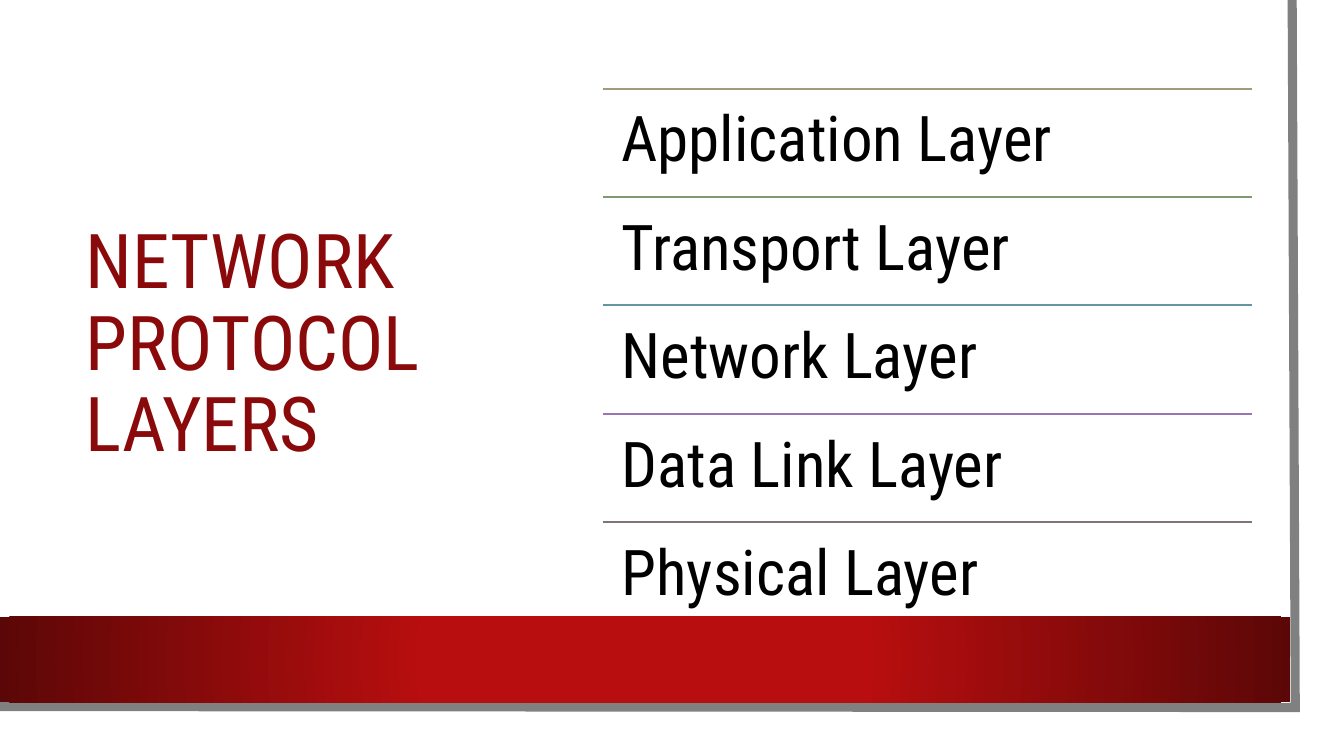
from lxml.etree import SubElement
from pptx import Presentation
from pptx.dml.color import RGBColor
from pptx.enum.shapes import MSO_CONNECTOR as CONNECTOR, MSO_SHAPE as SHAPE
from pptx.enum.text import MSO_ANCHOR as ANCHOR
from pptx.oxml.ns import qn
from pptx.util import Pt

FONT = "Roboto Condensed"
LAYERS = [
    ("Application Layer", "A6987D"),
    ("Transport Layer", "7F9A71"),
    ("Network Layer", "64969F"),
    ("Data Link Layer", "9B75B2"),
    ("Physical Layer", "80737A"),
]
LIST_LEFT, LIST_TOP, LIST_WIDTH, ROW_HEIGHT = 430.5, 63.3, 463.7, 77.4


def color(value):
    return RGBColor.from_string(value)


def add_text(page, text, left, top, width, height, size, text_color,
             anchor=ANCHOR.TOP, inset=None):
    box = page.shapes.add_textbox(Pt(left), Pt(top), Pt(width), Pt(height))
    frame = box.text_frame
    frame.word_wrap = True
    frame.vertical_anchor = anchor
    if inset is not None:
        frame.margin_left = frame.margin_right = Pt(inset)
        frame.margin_top = frame.margin_bottom = Pt(inset)
    para = frame.paragraphs[0]
    para.text = text
    para.line_spacing = 0.9
    para.font.name = FONT
    para.font.size = Pt(size)
    para.font.color.rgb = color(text_color)


def add_rule(page, left, top, width, line_color):
    rule = page.shapes.add_connector(
        CONNECTOR.STRAIGHT, Pt(left), Pt(top), Pt(left + width), Pt(top))
    rule.line.color.rgb = color(line_color)
    rule.line.width = Pt(1.5)
    SubElement(rule._element.spPr, qn("a:effectLst"))


def add_page_edge(page):
    """Draw the grey edge down the right side and along the bottom."""
    builder = page.shapes.build_freeform(Pt(923), Pt(0), scale=1.0)
    builder.add_line_segments(
        [(Pt(925.2), Pt(505.4)), (Pt(-2.2), Pt(504.7))], close=False)
    edge = builder.convert_to_shape()
    edge.shadow.inherit = False
    edge.fill.background()
    edge.line.color.rgb = color("808080")
    edge.line.width = Pt(6.5)
    SubElement(edge.line._get_or_add_ln(), qn("a:miter"), lim="800000")


def add_band(page, left, top, width, height, inner, outer):
    """Add a bar whose colour runs radially from inner to outer."""
    band = page.shapes.add_shape(
        SHAPE.RECTANGLE, Pt(left), Pt(top), Pt(width), Pt(height))
    band.shadow.inherit = False
    band.line.fill.background()
    band.fill.gradient()
    stops = zip(band.fill.gradient_stops, (0.34, 1), (inner, outer))
    for stop, position, stop_color in stops:
        stop.position = position
        stop.color.rgb = color(stop_color)
    gradient = band._element.spPr.find(qn("a:gradFill"))
    gradient.remove(gradient.find(qn("a:lin")))
    radial = SubElement(gradient, qn("a:path"), path="circle")
    center = dict.fromkeys("ltrb", "50000")
    SubElement(radial, qn("a:fillToRect"), center)


def main():
    deck = Presentation()
    deck.slide_width, deck.slide_height = Pt(960), Pt(540)
    page = deck.slides.add_slide(deck.slide_layouts[6])

    add_page_edge(page)
    add_band(page, 0, 440.6, 921.6, 61.2, "B80E0F", "5C0707")
    add_text(page, "NETWORK PROTOCOL LAYERS", 54, 50.4, 264.2, 393.1,
             54, "8A0A0B", anchor=ANCHOR.MIDDLE)
    for row, (name, line_color) in enumerate(LAYERS):
        top = LIST_TOP + row * ROW_HEIGHT
        add_rule(page, LIST_LEFT, top, LIST_WIDTH, line_color)
        add_text(page, name, LIST_LEFT, top, LIST_WIDTH, ROW_HEIGHT,
                 45, "000000", inset=13.5)

    deck.save("out.pptx")


if __name__ == "__main__":
    main()
